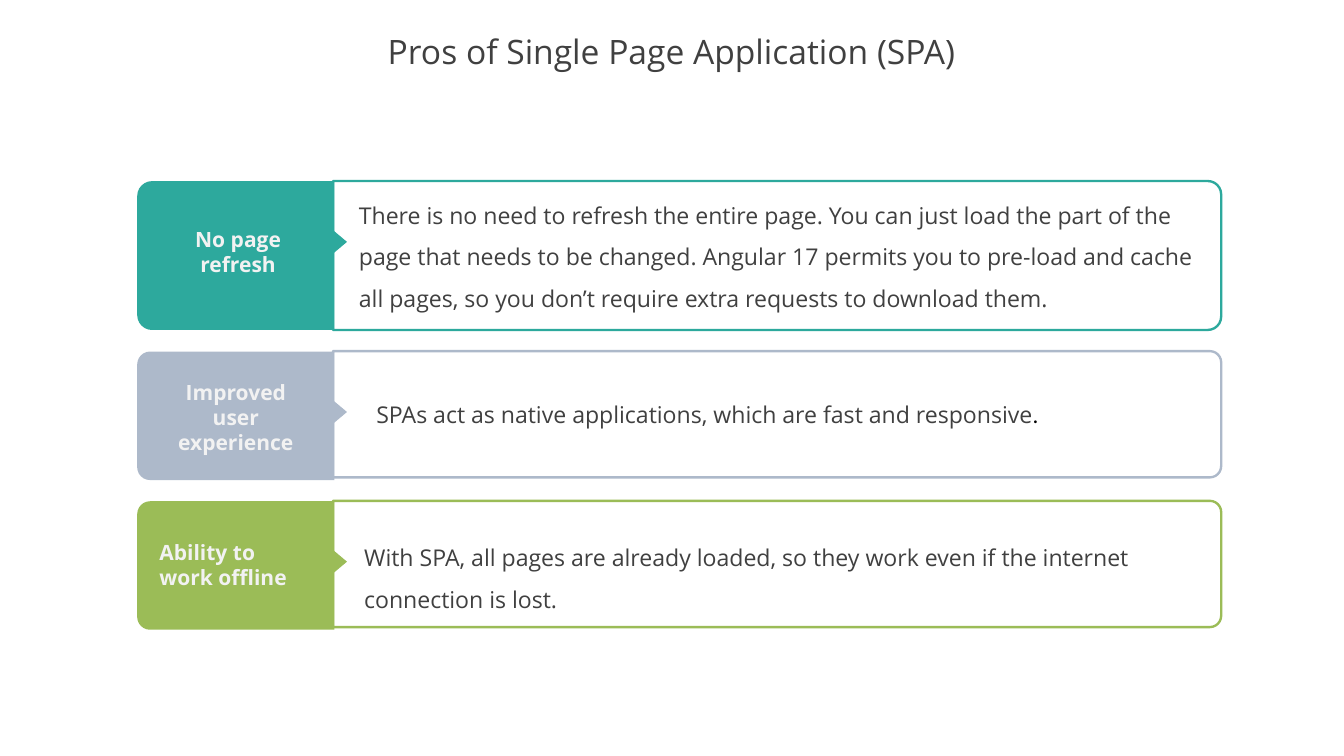
from dataclasses import dataclass
from pptx import Presentation
from pptx.dml.color import RGBColor
from pptx.enum.shapes import MSO_SHAPE
from pptx.enum.text import MSO_ANCHOR, MSO_AUTO_SIZE, PP_ALIGN
from pptx.util import Inches, Pt


@dataclass(frozen=True)
class Theme:
    """Colours, fonts and type sizes."""
    teal: str = "2DA99D"
    slate: str = "ADB9CA"
    green: str = "9BBC57"
    white: str = "FFFFFF"
    label: str = "F2F2F2"
    body: str = "404040"
    black: str = "000000"
    font: str = "Open Sans"
    plain_font: str = "Calibri"
    title_size: int = 32
    label_size: int = 20
    body_size: int = 22
    outline: float = 2.25


def apply(target, values):
    """Set each named attribute on the target."""
    for name, value in values.items():
        setattr(target, name, value)


class SlideBuilder:
    """Draws styled elements on the current slide."""

    def __init__(self, page, theme):
        """Keep the slide and its style."""
        self.page, self.theme = page, theme
        self.group = None

    def start_group(self):
        """Collect the elements that follow in a new group."""
        self.group = self.page.shapes.add_group_shape()

    def add_span(self, para, text, size, color, font=None, bold=False):
        """Add one formatted span to a paragraph."""
        span = para.add_run()
        span.text = text
        apply(span.font, {"name": font or self.theme.font, "size": Pt(size), "bold": bold})
        span.font.color.rgb = RGBColor.from_string(color)

    def title(self, text, place):
        """Fill the title placeholder."""
        box = self.page.shapes.title
        apply(box, dict(zip(("left", "top", "width", "height"), map(Inches, place))))
        apply(box.text_frame, {"vertical_anchor": MSO_ANCHOR.MIDDLE, "word_wrap": True})
        para = box.text_frame.paragraphs[0]
        apply(para, {"alignment": PP_ALIGN.CENTER, "line_spacing": 0.9})
        self.add_span(para, text, self.theme.title_size, self.theme.body)

    def turned(self, kind, center, middle, width, height, rotation, fill, line=None, corner=None):
        """Add a rotated shape around a centre point."""
        shape = self.group.shapes.add_shape(
            kind, Inches(center - width / 2), Inches(middle - height / 2),
            Inches(width), Inches(height))
        shape.rotation = rotation
        shape.shadow.inherit = False
        shape.fill.solid()
        shape.fill.fore_color.rgb = RGBColor.from_string(fill)
        if corner:
            shape.adjustments[0] = corner
            shape.adjustments[1] = 0
        if line:
            shape.line.color.rgb = RGBColor.from_string(line)
            shape.line.width = Pt(self.theme.outline)
        else:
            shape.line.fill.background()

    def text(self, place, spans, wrap=True, **layout):
        """Add a text box with one paragraph of spans."""
        box = self.group.shapes.add_textbox(*map(Inches, place))
        apply(box.text_frame, {"word_wrap": wrap, "auto_size": MSO_AUTO_SIZE.SHAPE_TO_FIT_TEXT})
        para = box.text_frame.paragraphs[0]
        apply(para, layout)
        for span in spans:
            self.add_span(para, **span)

    def banner(self, color, middle, panel_height, tab_height, tab_middle, arrow_middle):
        """Add an outlined panel with a coloured tab and its arrow."""
        rounded = MSO_SHAPE.ROUND_2_SAME_RECTANGLE
        self.turned(rounded, 10.28, middle, panel_height, 11.75, 90,
                    self.theme.white, color, 0.09)
        self.turned(rounded, 3.12, tab_middle, tab_height, 2.61, 270, color, corner=0.1)
        self.turned(MSO_SHAPE.ISOSCELES_TRIANGLE, 4.48, arrow_middle, 0.37, 0.22, 90, color)


def main():
    """Build and save the deck."""
    theme = Theme()
    deck = Presentation()
    apply(deck, {"slide_width": Inches(17.78), "slide_height": Inches(10)})
    builder = SlideBuilder(deck.slides.add_slide(deck.slide_layouts[5]), theme)
    builder.title("Pros of Single Page Application (SPA)", (0, 0.35, 17.78, 0.73))

    label = {"size": theme.label_size, "color": theme.label, "bold": True}
    body = {"size": theme.body_size, "color": theme.body}
    full_stop = {"text": ".", "size": theme.body_size, "color": theme.black,
                 "font": theme.plain_font}
    centered, spaced = {"alignment": PP_ALIGN.CENTER}, {"line_spacing": 1.5}
    rows = [
        ((theme.teal, 3.38, 1.97, 1.97, 3.38, 3.2),
         "No page refresh", (2.1, 2.95, 2.1, 0.79), centered,
         "There is no need to refresh the entire page. You can just load the part of the "
         "page that needs to be changed. Angular 17 permits you to pre-load and cache "
         "all pages, so you don’t require extra requests to download them.",
         (4.65, 2.43, 11.54, 1.71), [], spaced),
        ((theme.slate, 5.48, 1.67, 1.7, 5.5, 5.45),
         "Improved user experience", (2.07, 4.97, 2.1, 1.11), centered,
         "SPAs act as native applications, which are fast and responsive",
         (4.88, 5.25, 9.08, 0.47), [full_stop], {"wrap": False}),
        ((theme.green, 7.46, 1.67, 1.7, 7.48, 7.43),
         "Ability to work offline", (2.01, 7.09, 2.1, 0.77), {},
         "With SPA, all pages are already loaded, so they work even if the internet "
         "connection is lost.",
         (4.72, 6.96, 11.16, 1.15), [], spaced),
    ]
    for banner, name, name_place, name_layout, detail, place, ending, layout in rows:
        builder.start_group()
        builder.banner(*banner)
        builder.text(name_place, [{"text": name, **label}], **name_layout)
        builder.text(place, [{"text": detail, **body}, *ending], **layout)
    deck.save("out.pptx")


if __name__ == "__main__":
    main()
